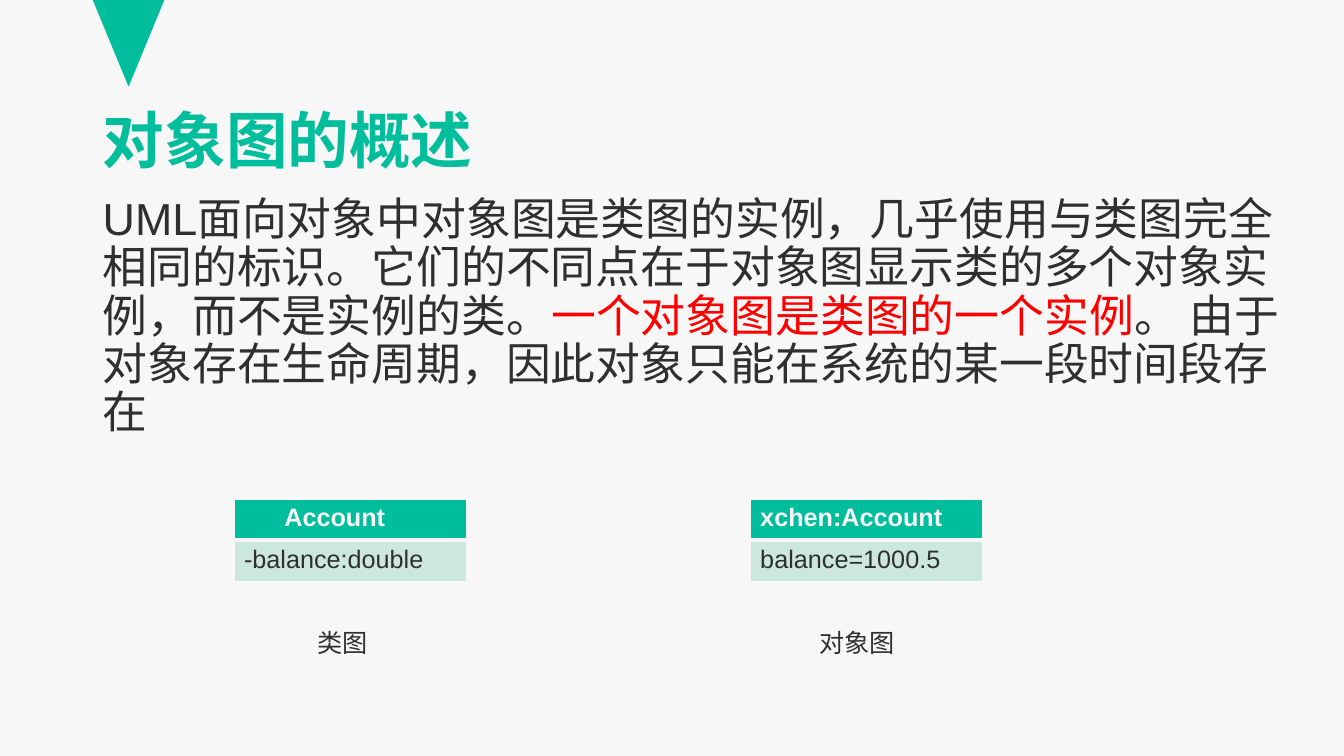
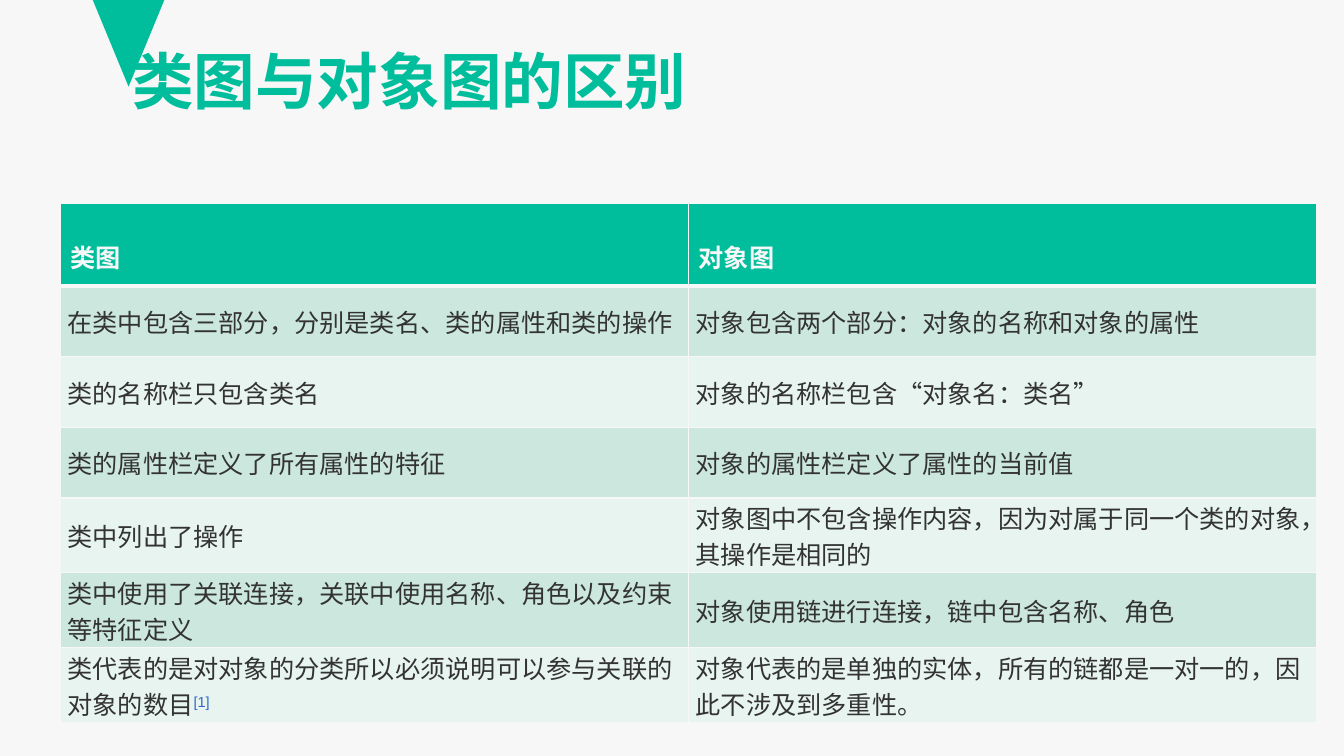
from lxml import etree
from pptx import Presentation
from pptx.dml.color import RGBColor
from pptx.enum.lang import MSO_LANGUAGE_ID as Language
from pptx.enum.shapes import MSO_SHAPE as Preset
from pptx.enum.text import MSO_ANCHOR as Anchor, MSO_AUTO_SIZE as AutoSize, PP_ALIGN as Align
from pptx.oxml.ns import qn
from pptx.util import Inches, Pt

# Shared look
GREEN = RGBColor(0x00, 0xBE, 0x9C)
PAPER = RGBColor(0xF7, 0xF7, 0xF7)
INK = RGBColor(0x2F, 0x2F, 0x2F)
CELL_INK = RGBColor(0x33, 0x33, 0x33)
RED = RGBColor(0xFF, 0x00, 0x00)
LINK_BLUE = RGBColor(0x33, 0x66, 0xCC)
BAND_DARK = RGBColor(0xCC, 0xE8, 0xDE)
BAND_LIGHT = RGBColor(0xE7, 0xF4, 0xEF)

FONT = "Arial"
LEFT = 0.92
TITLE_SIZE = (11.5, 0.94)
TITLE_FORMAT = {"size": Pt(44), "bold": True}
BODY_FORMAT = {"size": Pt(32), "bold": False}
HEADER_FORMAT = {"size": Pt(18), "bold": True}
CELL_FORMAT = {"size": Pt(18), "bold": False}
CELL_MARGINS = {"margin_left": 0.07, "margin_right": 0.07,
                "margin_top": 0.01, "margin_bottom": 0.01}

# Class box and object box: left, header, header indent, attribute, caption, caption left
BOX_TOP, BOX_WIDTH, BOX_ROW, CAPTION_TOP = 4.95, 2.31, 0.41, 6.17
BOXES = [
    (2.32, "Account", 0.5, "-balance:double", "类图", 3.05),
    (7.44, "xchen:Account", 0.1, "balance=1000.5", "对象图", 8.03),
]

BODY = [
    ("UML面向对象中对象图是类图的实例，几乎使用与类图完全相同的标识。"
     "它们的不同点在于对象图显示类的多个对象实例，而不是实例的类。", INK),
    ("一个对象图是类图的一个实例", RED),
    ("。 由于对象存在生命周期，因此对象只能在系统的某一段时间段存在", INK),
]

COMPARISON_HEADER = ("类图", "对象图")
COMPARISON = [
    ("在类中包含三部分，分别是类名、类的属性和类的操作",
     "对象包含两个部分：对象的名称和对象的属性"),
    ("类的名称栏只包含类名", "对象的名称栏包含“对象名：类名”"),
    ("类的属性栏定义了所有属性的特征", "对象的属性栏定义了属性的当前值"),
    ("类中列出了操作",
     "对象图中不包含操作内容，因为对属于同一个类的对象，其操作是相同的"),
    ("类中使用了关联连接，关联中使用名称、角色以及约束等特征定义",
     "对象使用链进行连接，链中包含名称、角色"),
    ("类代表的是对对象的分类所以必须说明可以参与关联的对象的数目",
     "对象代表的是单独的实体，所有的链都是一对一的，因此不涉及到多重性。"),
]
FOOTNOTE_MARK = "[1]\u00a0"
COMPARISON_ROWS = [0.82] + [0.7] * 3 + [0.74] * 3


def apply(target, values):
    for name, value in values.items():
        setattr(target, name, value)


def add_run(paragraph, text, color, values):
    run = paragraph.add_run()
    run.text = text
    apply(run.font, {"name": FONT, "language_id": Language.SIMPLIFIED_CHINESE, **values})
    run.font.color.rgb = color
    return run


def add_text(slide, box, parts, values):
    shape = slide.shapes.add_textbox(*map(Inches, box))
    shape.text_frame.word_wrap = True
    paragraph = shape.text_frame.paragraphs[0]
    for text, color in parts:
        add_run(paragraph, text, color, values)
    return paragraph


def add_titled_slide(presentation, title, left, top):
    slide = presentation.slides.add_slide(presentation.slide_layouts[5])
    # Downward triangle hanging from the top edge
    marker = slide.shapes.add_shape(
        Preset.ISOSCELES_TRIANGLE, *map(Inches, (LEFT, 0, 0.71, 0.86)))
    marker.rotation = 180
    marker.shadow.inherit = False
    marker.fill.solid()
    marker.fill.fore_color.rgb = GREEN
    marker.line.fill.background()
    # Title, in front of the triangle
    shape = slide.shapes.title
    slide.shapes._spTree.append(shape._element)
    width, height = TITLE_SIZE
    apply(shape, {"left": Inches(left), "top": Inches(top),
                  "width": Inches(width), "height": Inches(height)})
    apply(shape.text_frame, {"word_wrap": True, "auto_size": AutoSize.NONE,
                             "vertical_anchor": Anchor.MIDDLE})
    paragraph = shape.text_frame.paragraphs[0]
    apply(paragraph, {"alignment": Align.LEFT, "line_spacing": 0.9})
    add_run(paragraph, title, GREEN, TITLE_FORMAT)
    return slide


def set_borders(cell, bottom):
    properties = cell._tc.get_or_add_tcPr()
    widths = {"a:lnL": 1, "a:lnR": 1, "a:lnT": 1, "a:lnB": bottom}
    for index, (tag, width) in enumerate(widths.items()):
        line = etree.Element(qn(tag), w=str(Pt(width)))
        fill = etree.SubElement(line, qn("a:solidFill"))
        etree.SubElement(fill, qn("a:srgbClr"), val=str(PAPER))
        properties.insert(index, line)


def fill_cell(cell, text, fill, color, values, margins, bottom=1):
    cell.fill.solid()
    cell.fill.fore_color.rgb = fill
    apply(cell, {name: Inches(value) for name, value in margins.items()})
    set_borders(cell, bottom)
    add_run(cell.text_frame.paragraphs[0], text, color, values)


def fill_header(cell, text, margins):
    fill_cell(cell, text, GREEN, PAPER, HEADER_FORMAT, margins, bottom=3)


def add_grid(slide, left, top, columns, rows):
    box = map(Inches, (left, top, sum(columns), sum(rows)))
    table = slide.shapes.add_table(len(rows), len(columns), *box).table
    for column, width in zip(table.columns, columns):
        column.width = Inches(width)
    for row, height in zip(table.rows, rows):
        row.height = Inches(height)
    return table


def build_overview(presentation):
    slide = add_titled_slide(presentation, "对象图的概述", LEFT, 0.95)
    paragraph = add_text(slide, (LEFT, 1.9, 12.2, 2.6), BODY, BODY_FORMAT)
    apply(paragraph, {"line_spacing": 0.9, "space_before": Pt(10)})
    for left, header, indent, attribute, caption, caption_left in BOXES:
        table = add_grid(slide, left, BOX_TOP, [BOX_WIDTH], [BOX_ROW] * 2)
        fill_header(table.cell(0, 0), header, {"margin_left": indent})
        fill_cell(table.cell(1, 0), attribute, BAND_DARK, INK, CELL_FORMAT, {})
        add_text(slide, (caption_left, CAPTION_TOP, 1.57, 0.4),
                 [(caption, INK)], CELL_FORMAT)


def build_comparison(presentation):
    slide = add_titled_slide(presentation, "类图与对象图的区别", 1.21, 0.37)
    table = add_grid(slide, 0.6, 2.02, [6.23] * 2, COMPARISON_ROWS)
    for column, text in enumerate(COMPARISON_HEADER):
        fill_header(table.cell(0, column), text, {"margin_top": 0.34})
    for row, texts in enumerate(COMPARISON, start=1):
        band = BAND_DARK if row % 2 else BAND_LIGHT
        for column, text in enumerate(texts):
            cell = table.cell(row, column)
            fill_cell(cell, text, band, CELL_INK, CELL_FORMAT, CELL_MARGINS)
            cell.vertical_anchor = Anchor.MIDDLE
    # Raised reference mark in the last row
    paragraph = table.cell(len(COMPARISON), 0).text_frame.paragraphs[0]
    mark = add_run(paragraph, FOOTNOTE_MARK, LINK_BLUE, CELL_FORMAT)
    mark.font._element.set("baseline", "30000")


def main():
    presentation = Presentation()
    presentation.slide_width = Inches(13.33)
    presentation.slide_height = Inches(7.5)
    background = presentation.slide_master.background.fill
    background.solid()
    background.fore_color.rgb = PAPER
    build_overview(presentation)
    build_comparison(presentation)
    presentation.save("out.pptx")


if __name__ == "__main__":
    main()
